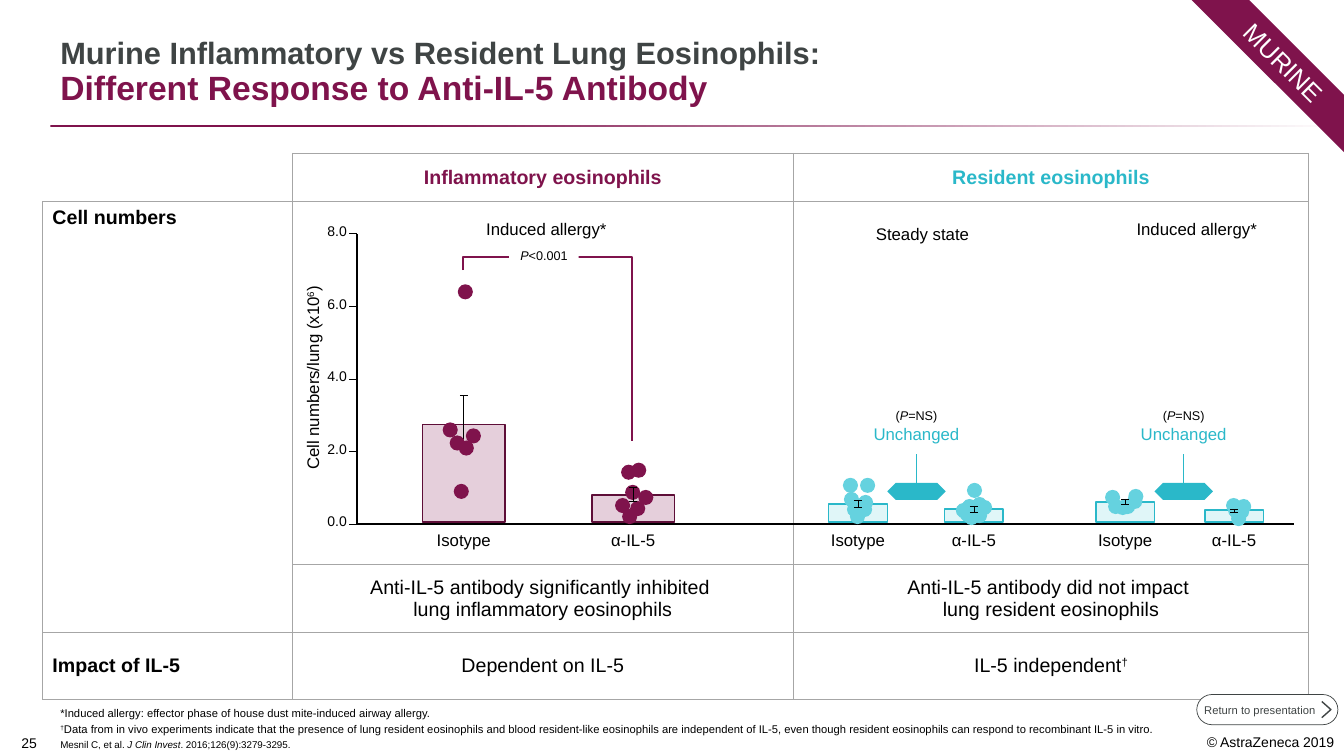
"""Build the slide comparing murine inflammatory and resident lung eosinophils."""
from dataclasses import dataclass

from pptx import Presentation
from pptx.dml.color import RGBColor
from pptx.enum.shapes import MSO_CONNECTOR, MSO_SHAPE
from pptx.enum.text import MSO_ANCHOR, PP_ALIGN
from pptx.oxml.ns import qn
from pptx.oxml.xmlchemy import OxmlElement
from pptx.util import Cm, Pt

RECT, OVAL, ROUNDED = MSO_SHAPE.RECTANGLE, MSO_SHAPE.OVAL, MSO_SHAPE.ROUNDED_RECTANGLE
STRIPE, ARROW = MSO_SHAPE.DIAGONAL_STRIPE, MSO_SHAPE.LEFT_RIGHT_ARROW
STRAIGHT = MSO_CONNECTOR.STRAIGHT
LEFT, CENTER, RIGHT = PP_ALIGN.LEFT, PP_ALIGN.CENTER, PP_ALIGN.RIGHT
TOP, MIDDLE, BOTTOM = MSO_ANCHOR.TOP, MSO_ANCHOR.MIDDLE, MSO_ANCHOR.BOTTOM
NO_GRID_STYLE = "{2D5ABB26-0587-4C30-8999-92F81FD0307C}"
INSET = (0.1, 0.05, 0.1, 0.05)
BASE, AXIS_X, TICK_GAP = 5.18, 3.54, 0.72
DOT, CAP, LABEL_W = 0.15, 0.04, 1.5


@dataclass(frozen=True)
class Theme:
    """Colours, font and type sizes of the slide."""
    font: str = "Arial"
    plum: str = "7F134C"
    plum_edge: str = "5E0E38"
    teal: str = "2AB8C9"
    aqua: str = "65D2DF"
    slate: str = "3F4444"
    grid: str = "A6A6A6"
    black: str = "000000"
    white: str = "FFFFFF"
    title: int = 24
    subtitle: int = 22
    banner: int = 18
    table: int = 14
    label: int = 12
    tick: int = 10
    p_value: int = 9
    note: int = 8
    cite: int = 7


T = Theme()


@dataclass
class Para:
    """One paragraph: plain strings or (text, style) pairs plus shared format."""
    runs: list
    size: int
    color: str = T.black
    align: PP_ALIGN = CENTER
    bold: bool = False
    before: float = 0
    spacing: float = 1


@dataclass
class Bar:
    """One bar with its error bar and its individual dots."""
    label: str
    x: float
    top: float
    error: tuple
    dots: list
    error_behind: bool = False


INFLAMMATORY = [
    Bar("Isotype", 4.6, 4.21, (3.92, 4.48), [(4.54, 2.82), (4.5, 4.8), (4.39, 4.19),
        (4.46, 4.32), (4.55, 4.37), (4.62, 4.25)], True),
    Bar("α-IL-5", 6.28, 4.91, (4.84, 4.97), [(6.16, 4.61), (6.26, 4.59), (6.2, 4.81),
        (6.33, 4.86), (6.25, 4.97), (6.17, 5.05), (6.1, 4.94)]),
]
RESIDENT = [
    Bar("Isotype", 8.51, 5, (4.96, 5.03), [(8.53, 4.74), (8.36, 4.74), (8.37, 4.88),
        (8.51, 4.91), (8.5, 4.98), (8.4, 4.98), (8.43, 5.05)]),
    Bar("α-IL-5", 9.66, 5.05, (5.02, 5.08), [(9.59, 4.79), (9.64, 4.93), (9.69, 4.96),
        (9.64, 5.04), (9.54, 4.95), (9.48, 4.99), (9.52, 5.03), (9.56, 5.06)]),
    Bar("Isotype", 11.16, 4.98, (4.95, 5), [(10.96, 4.86), (10.99, 4.95), (11.06, 4.96),
        (11.11, 4.95), (11.19, 4.85), (11.18, 4.9)]),
    Bar("α-IL-5", 12.24, 5.06, (5.05, 5.08), [(12.16, 4.94), (12.26, 4.95), (12.18, 4.99),
        (12.21, 5.07), (12.24, 5)]),
]


def inches(*values):
    """Turn inch values into a list of lengths."""
    return [Cm(2.54 * v) for v in values]


def rgb(color):
    """Return the colour object of a hex string."""
    return RGBColor.from_string(color)


def add_runs(p, runs):
    """Add runs to a paragraph; a newline ends a line."""
    for item in runs:
        text, style = (item, {}) if isinstance(item, str) else item
        for i, piece in enumerate(text.split("\n")):
            if i:
                p.add_line_break()
            if not piece:
                continue
            r = p.add_run()
            r.text = piece
            if "italic" in style:
                r.font.italic = True
            if "size" in style:
                r.font.size = Pt(style["size"])
            if "color" in style:
                r.font.color.rgb = rgb(style["color"])
            if "sup" in style:
                r.font._element.set("baseline", "30000")


def write(tf, paras):
    """Fill a text frame with paragraphs."""
    for i, para in enumerate(paras):
        p = tf.add_paragraph() if i else tf.paragraphs[0]
        p.alignment, p.line_spacing = para.align, para.spacing
        if i and para.before:
            p.space_before = Pt(para.before)
        f = p.font
        f.name, f.size, f.bold = T.font, Pt(para.size), para.bold
        f.color.rgb = rgb(para.color)
        add_runs(p, para.runs)


def frame(tf, paras, anchor=TOP, inset=INSET):
    """Set up a wrapping text frame and write into it."""
    tf.word_wrap, tf.vertical_anchor = True, anchor
    tf.margin_left, tf.margin_top, tf.margin_right, tf.margin_bottom = inches(*inset)
    write(tf, paras)


def add_text(shapes, at, paras, anchor=TOP, inset=INSET, rotation=0):
    """Add a text box."""
    s = shapes.add_textbox(*inches(*at))
    s.rotation = rotation
    frame(s.text_frame, paras, anchor, inset)


def add_box(shapes, kind, at, fill, line=None, width=1, alpha=None, adjust=()):
    """Add a filled preset shape."""
    s = shapes.add_shape(kind, *inches(*at))
    s.shadow.inherit = False
    for i, value in enumerate(adjust):
        s.adjustments[i] = value
    s.fill.solid()
    s.fill.fore_color.rgb = rgb(fill)
    if alpha:
        a = OxmlElement("a:alpha")
        a.set("val", str(alpha * 1000))
        s.element.spPr.find(".//" + qn("a:srgbClr")).append(a)
    if line:
        s.line.color.rgb, s.line.width = rgb(line), Pt(width)
    else:
        s.line.fill.background()
    return s


def add_line(shapes, start, end, color=T.black):
    """Add a thin straight line."""
    s = shapes.add_connector(STRAIGHT, *inches(*start, *end))
    s.line.color.rgb, s.line.width = rgb(color), Pt(0.5)
    s.element.spPr.append(OxmlElement("a:effectLst"))


def add_polyline(shapes, points, color):
    """Add an open outline through the points."""
    points = [tuple(inches(*point)) for point in points]
    builder = shapes.build_freeform(*points[0])
    builder.add_line_segments(points[1:], close=False)
    s = builder.convert_to_shape()
    s.shadow.inherit = False
    s.fill.background()
    s.line.color.rgb, s.line.width = rgb(color), Pt(1)


def add_error(shapes, x, error):
    """Add an error bar with caps."""
    g = shapes.add_group_shape().shapes
    add_line(g, (x, error[0]), (x, error[1]))
    for y in error:
        add_line(g, (x - CAP, y), (x + CAP, y))


def add_bar(shapes, bar, width, fill, line, dot):
    """Add a bar with dots, error bar and category label."""
    add_box(shapes, RECT, (bar.x - width / 2, bar.top, width, BASE - bar.top), fill, line, alpha=20)
    if bar.error_behind:
        add_error(shapes, bar.x, bar.error)
    g = shapes.add_group_shape().shapes
    for x, y in bar.dots:
        add_box(g, OVAL, (x, y, DOT, DOT), dot)
    if not bar.error_behind:
        add_error(shapes, bar.x, bar.error)
    add_label(shapes, bar.x, 5.21, bar.label)


def add_label(shapes, x, y, text):
    """Add a label centred on x."""
    add_text(shapes, (x - LABEL_W / 2, y, LABEL_W, 0.3), [Para([text], T.label)])


def add_unchanged(shapes, x):
    """Add the double arrow and its not-significant remark."""
    g = shapes.add_group_shape().shapes
    add_box(g, ARROW, (x - 0.29, 4.79, 0.58, 0.17), T.teal, adjust=(1, 0.5))
    add_line(g, (x, 4.79), (x, 4.5), T.teal)
    add_text(g, (x - LABEL_W / 2, 4, LABEL_W, 0.45), [
        Para(["(", ("P", {"italic": 1}), "=NS)"], T.p_value),
        Para(["Unchanged"], T.label, T.teal)])


def add_axes(shapes):
    """Add the axes, ticks, tick labels and axis title."""
    add_polyline(shapes, [(AXIS_X, 2.32), (AXIS_X, 5.2), (12.83, 5.2)], T.black)
    for i in range(5):
        y = 5.2 - i * TICK_GAP
        add_line(shapes, (AXIS_X, y), (AXIS_X - 0.08, y))
        add_text(shapes, (3.08, y - 0.16, 0.36, 0.27),
                 [Para([f"{2 * i}.0"], T.tick, align=RIGHT)], inset=(0, 0.05, 0, 0.05))
    add_text(shapes, (1.66, 3.6, 2.88, 0.3),
             [Para(["Cell numbers/lung (x10", ("6", {"sup": 1}), ")"], T.label)], rotation=270)


def set_borders(cell, sides):
    """Draw the named sides of a cell and hide the others."""
    tcPr = cell._tc.get_or_add_tcPr()
    for i, side in enumerate("LRTB"):
        ln = OxmlElement("a:ln" + side)
        ln.set("w", str(Pt(0.5)))
        fill = OxmlElement("a:solidFill" if side in sides else "a:noFill")
        if side in sides:
            color = OxmlElement("a:srgbClr")
            color.set("val", T.grid)
            fill.append(color)
        ln.append(fill)
        tcPr.insert(i, ln)


def add_comparison(shapes):
    """Add the comparison table."""
    widths, heights = (1.42, 1.06, 4.97, 5.11), (0.48, 3.6, 0.67, 0.67)
    s = shapes.add_table(4, 4, *inches(0.42, 1.52, sum(widths), sum(heights)))
    table = s.table
    table._tbl.tblPr.find(qn("a:tableStyleId")).text = NO_GRID_STYLE
    table.first_row = table.horz_banding = False
    for col, width in zip(table.columns, inches(*widths)):
        col.width = width
    for row, height in zip(table.rows, inches(*heights)):
        row.height = height
    corner = {(0, 0): "B", (0, 1): "RB"}
    for i in range(4):
        for j in range(4):
            cell = table.cell(i, j)
            cell.fill.background()
            set_borders(cell, corner.get((i, j), "LRTB"))
    table.cell(1, 0).merge(table.cell(2, 1))
    table.cell(3, 0).merge(table.cell(3, 1))
    size = T.table
    texts = {
        (0, 2): Para(["Inflammatory eosinophils"], size, T.plum, bold=True),
        (0, 3): Para(["Resident eosinophils"], size, T.teal, bold=True),
        (1, 0): Para(["Cell numbers"], size, align=LEFT, bold=True),
        (2, 2): Para(["Anti-IL-5 antibody significantly inhibited \nlung inflammatory eosinophils"], size),
        (2, 3): Para(["Anti-IL-5 antibody did not impact \nlung resident eosinophils"], size),
        (3, 0): Para(["Impact of IL-5"], size, align=LEFT, bold=True),
        (3, 2): Para(["Dependent on IL-5"], size),
        (3, 3): Para(["IL-5 independent", ("†", {"sup": 1})], size),
    }
    for (i, j), para in texts.items():
        cell = table.cell(i, j)
        cell.vertical_anchor = TOP if i == 1 else MIDDLE
        write(cell.text_frame, [para])


def add_heading(shapes):
    """Add the title, its fading rule and the corner banner."""
    add_text(shapes, (0.5, 0.25, 12.33, 0.87), [Para([
        ("Murine Inflammatory vs Resident Lung Eosinophils: \n", {"size": T.subtitle, "color": T.slate}),
        "Different Response to Anti-IL-5 Antibody"], T.title, T.plum, LEFT, True, spacing=0.9)], BOTTOM)
    rule = add_box(shapes, RECT, (0.5, 1.24, 12.83, 0.02), T.plum)
    rule.fill.gradient()
    rule.fill.gradient_angle = 0
    for stop, color, position in zip(rule.fill.gradient_stops, (T.plum, T.white), (0.26, 1)):
        stop.color.rgb, stop.position = rgb(color), position
    g = shapes.add_group_shape().shapes
    stripe = add_box(g, STRIPE, (11.82, 0, 1.52, 1.52), T.plum, adjust=(0.625,))
    stripe.element.spPr.xfrm.set("flipH", "1")
    add_text(g, (11.94, 0.42, 1.58, 0.4), [Para(["MURINE"], T.banner, T.white)], rotation=45)


def add_footer(shapes):
    """Add footnotes, page number, copyright and return button."""
    note = {"align": LEFT, "before": 3, "spacing": 0.9}
    add_text(shapes, (0.5, 6.4, 11.24, 1.1), [
        Para(["*Induced allergy: effector phase of house dust mite-induced airway allergy."], T.note, **note),
        Para([("†", {"sup": 1}), "Data from in vivo experiments indicate that the presence of lung resident "
              "eosinophils and blood resident-like eosinophils are independent of IL-5, even though "
              "resident eosinophils can respond to recombinant IL-5 in vitro."], T.note, **note),
        Para(["Mesnil C, et al. ", ("J Clin Invest", {"italic": 1}), ". 2016;126(9):3279-3295."],
             T.cite, **note)], BOTTOM)
    add_text(shapes, (0, 7.21, 0.53, 0.29), [Para(["25"], T.tick)], BOTTOM, (0.1, 0.05, 0.05, 0.05))
    add_text(shapes, (11.11, 7.23, 2.22, 0.27), [Para(["© AstraZeneca 2019"], T.tick, align=RIGHT)])
    button = add_box(shapes, ROUNDED, (11.87, 6.89, 1.4, 0.3), T.white, T.slate, 0.5, adjust=(0.5,))
    frame(button.text_frame, [Para(["Return to presentation"], T.note, T.slate, LEFT)],
          MIDDLE, (0.03, 0, 0, 0))
    add_polyline(shapes, [(13.11, 6.96), (13.2, 7.04), (13.11, 7.12)], T.slate)


def main():
    """Build and save the slide."""
    prs = Presentation()
    prs.slide_width, prs.slide_height = inches(13.33, 7.5)
    shapes = prs.slides.add_slide(prs.slide_layouts[6]).shapes
    add_heading(shapes)
    add_comparison(shapes)
    add_axes(shapes)
    for bar in INFLAMMATORY:
        add_bar(shapes, bar, 0.82, T.plum, T.plum_edge, T.plum)
    for bar in RESIDENT:
        add_bar(shapes, bar, 0.58, T.aqua, T.teal, T.aqua)
    add_polyline(shapes, [(4.59, 2.68), (4.59, 2.55), (6.27, 2.55), (6.27, 4.38)], T.plum)
    p_value = add_box(shapes, RECT, (5.05, 2.41, 0.69, 0.3), T.white)
    frame(p_value.text_frame, [Para([("P", {"italic": 1}), "<0.001"], T.p_value)])
    for x, y, text in ((5.42, 2.12, "Induced allergy*"), (11.87, 2.12, "Induced allergy*"),
                       (9.15, 2.17, "Steady state")):
        add_label(shapes, x, y, text)
    for x in (9.09, 11.74):
        add_unchanged(shapes, x)
    add_footer(shapes)
    prs.save("out.pptx")


if __name__ == "__main__":
    main()
